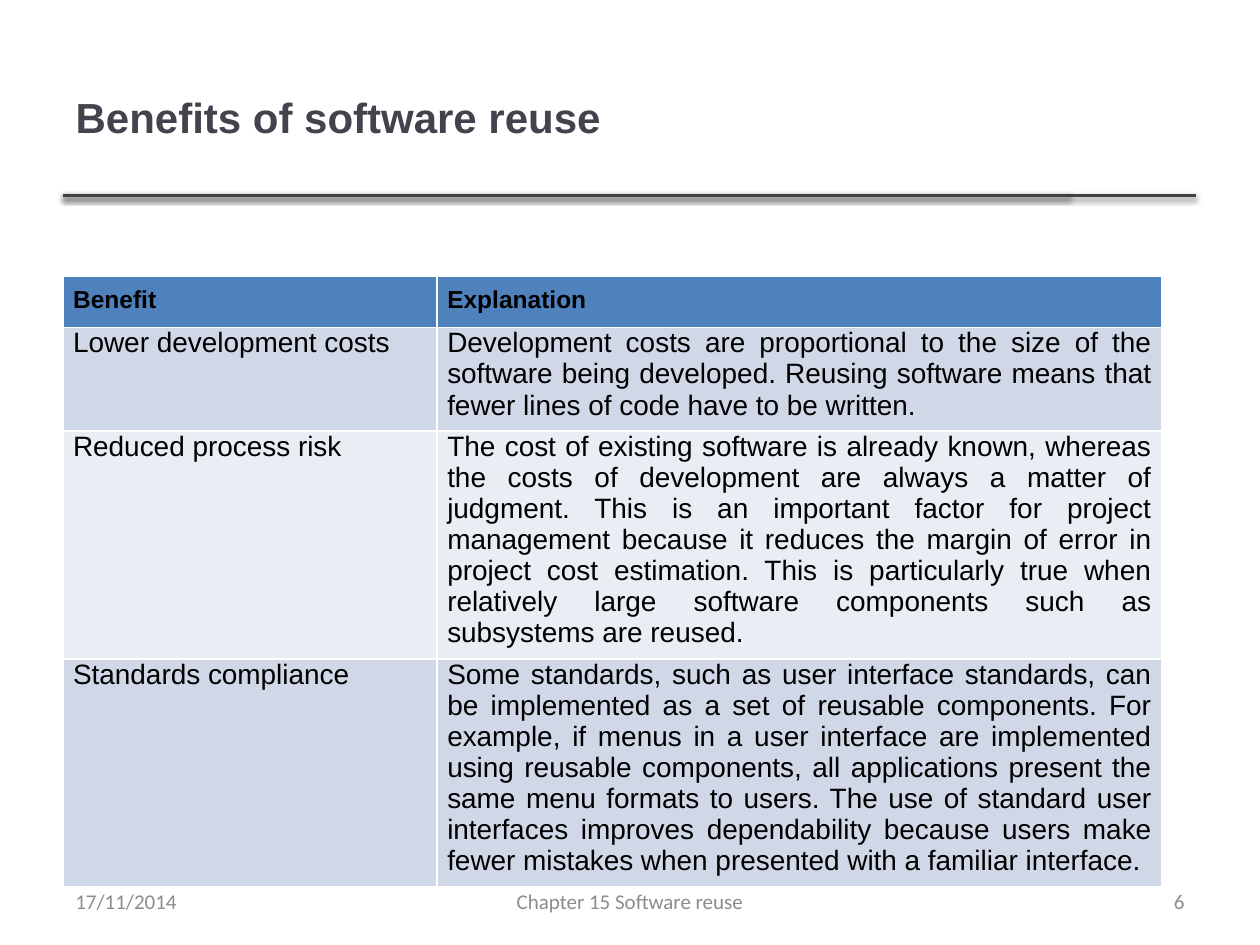
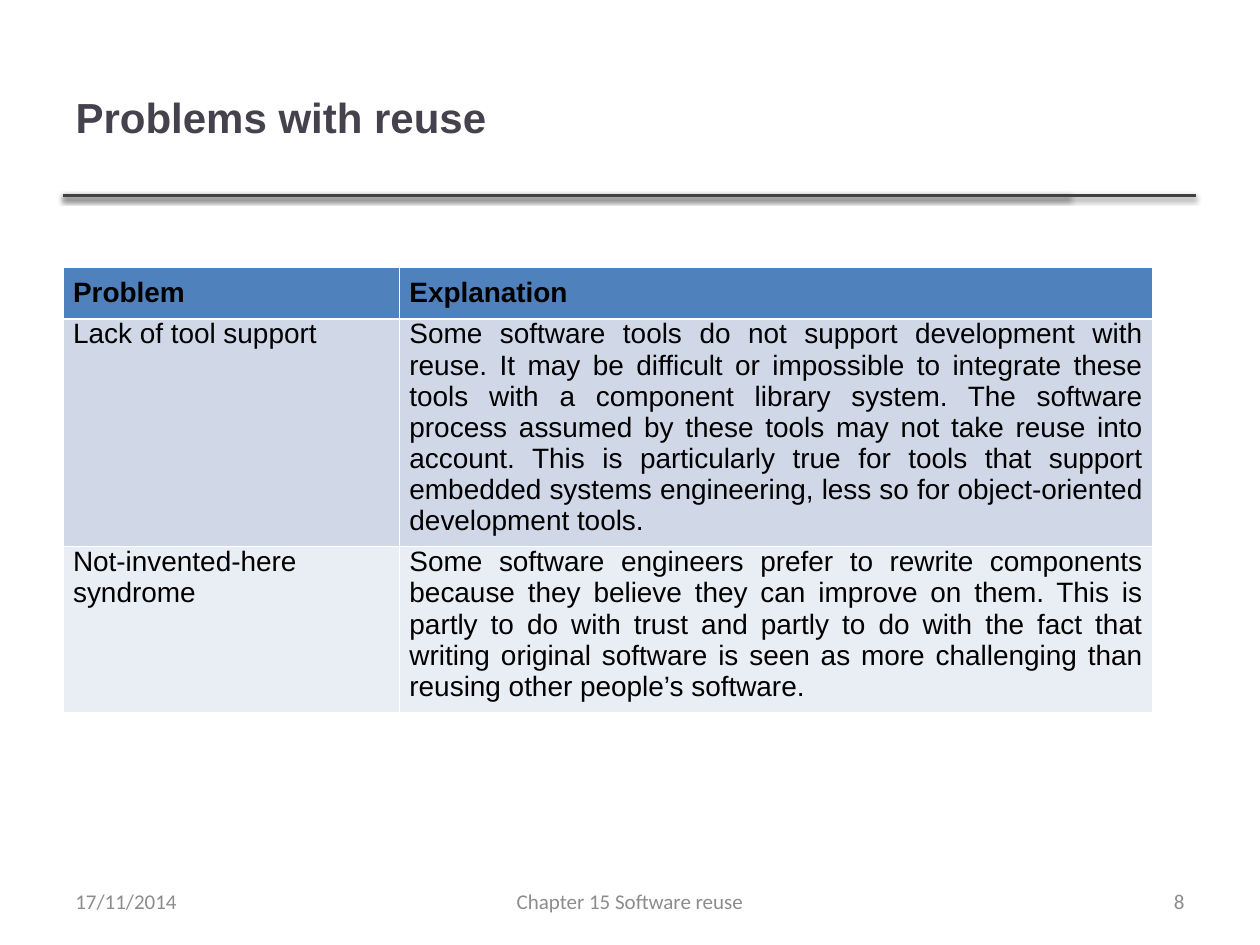
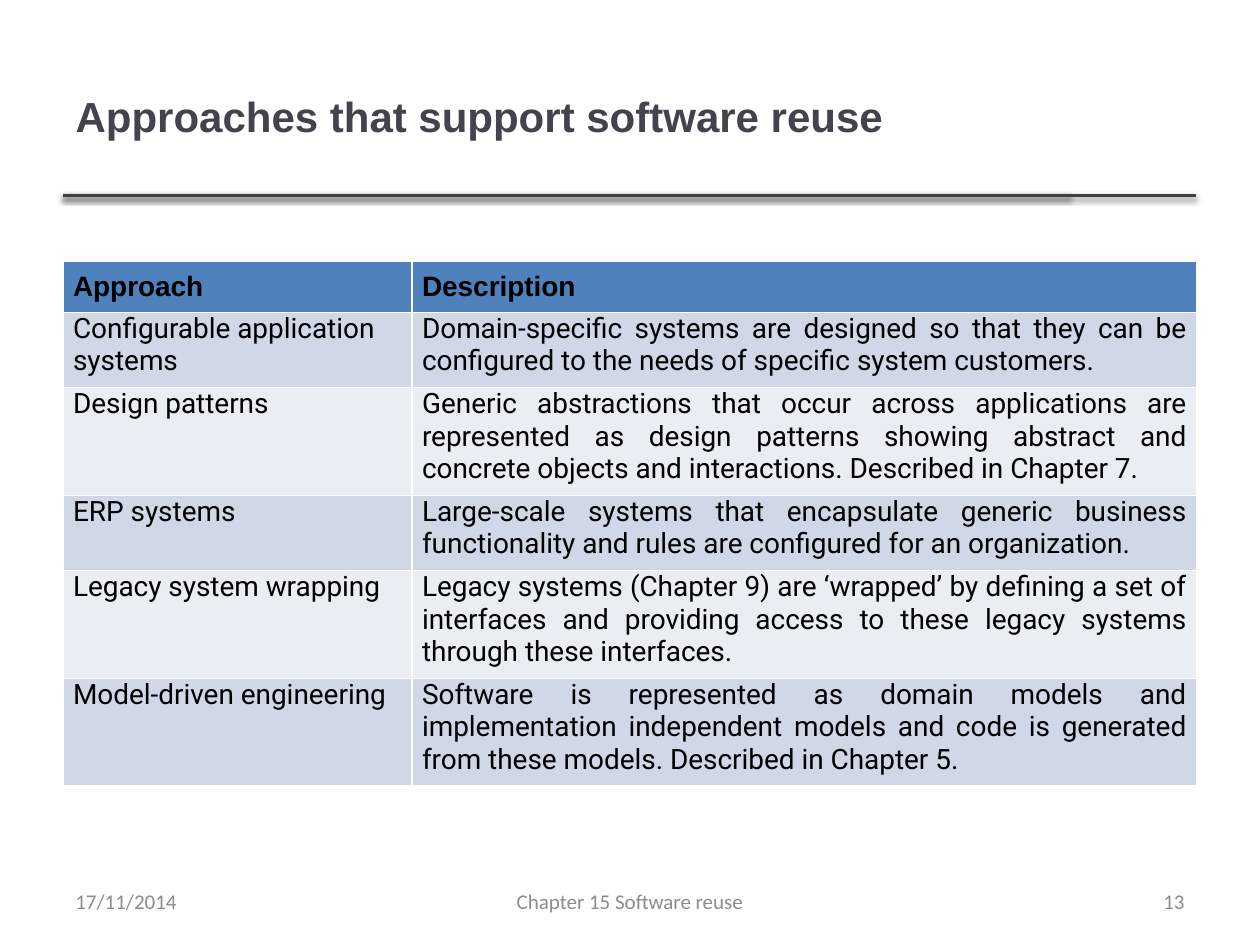
from collections import namedtuple

from lxml.etree import SubElement
from pptx import Presentation
from pptx.dml.color import RGBColor
from pptx.enum.shapes import MSO_CONNECTOR as Connector
from pptx.enum.text import MSO_ANCHOR as Anchor, PP_ALIGN as Align
from pptx.oxml.ns import qn
from pptx.util import Inches, Pt

COLORS = {
    "title": "46424D",
    "rule": "404040",
    "shadow": "000000",
    "footer": "8C8C8C",
    "text": "000000",
    "header": "4F81BD",
    "odd": "D0D8E8",
    "even": "E9EDF4",
}
WIDTH, HEIGHT = Inches(10), Inches(7.5)
COLUMN, ROW = WIDTH / 100, HEIGHT / 75
MARGIN, CONTENT = 5, 90
TABLE_ROW = 4.1
CELL_INSET = Inches(0.08)
DATE, CHAPTER = "17/11/2014", "Chapter 15 Software reuse"

Box = namedtuple("Box", "left top width height")
Topic = namedtuple("Topic", "title title_box number table_top widths header_size body_font first_align rows")

TITLE_BOX = Box(MARGIN, 3, 79.8, 12.5)
FOOTER_BOX = Box(MARGIN, 69.5, CONTENT, 4)
RULE_BOX = Box(MARGIN, 15.5, 89.9, 0)

TOPICS = [
    Topic("Benefits of software reuse", TITLE_BOX, 6, 21.9, (29.7, 57.5), 14, "Arial", Align.JUSTIFY, [
        ("Benefit", "Explanation"),
        ("Lower development costs",
         "Development costs are proportional to the size of the software being developed. "
         "Reusing software means that fewer lines of code have to be written."),
        ("Reduced process risk",
         "The cost of existing software is already known, whereas the costs of development are "
         "always a matter of judgment. This is an important factor for project management because "
         "it reduces the margin of error in project cost estimation. This is particularly true when "
         "relatively large software components such as subsystems are reused."),
        ("Standards compliance",
         "Some standards, such as user interface standards, can be implemented as a set of reusable "
         "components. For example, if menus in a user interface are implemented using reusable "
         "components, all applications present the same menu formats to users. The use of standard "
         "user interfaces improves dependability because users make fewer mistakes when presented "
         "with a familiar interface."),
    ]),
    Topic("Problems with reuse", TITLE_BOX, 8, 21.2, (26.7, 59.8), 16, "Arial", Align.LEFT, [
        ("Problem", "Explanation"),
        ("Lack of tool support",
         "Some software tools do not support development with reuse. It may be difficult or "
         "impossible to integrate these tools with a component library system. The software process "
         "assumed by these tools may not take reuse into account. This is particularly true for "
         "tools that support embedded systems engineering, less so for object-oriented development "
         "tools."),
        ("Not-invented-here syndrome",
         "Some software engineers prefer to rewrite components because they believe they can improve "
         "on them. This is partly to do with trust and partly to do with the fact that writing "
         "original software is seen as more challenging than reusing other people’s software."),
    ]),
    Topic("Approaches that support software reuse", Box(MARGIN, 2.9, CONTENT, 12.5), 13, 20.7,
          (27.7, 62.3), 16, "Roboto", Align.LEFT, [
        ("Approach", "Description"),
        ("Configurable application systems",
         "Domain-specific systems are designed so that they can be configured to the needs of "
         "specific system customers."),
        ("Design patterns",
         "Generic abstractions that occur across applications are represented as design patterns "
         "showing abstract and concrete objects and interactions. Described in Chapter 7."),
        ("ERP systems",
         "Large-scale systems that encapsulate generic business functionality and rules are "
         "configured for an organization."),
        ("Legacy system wrapping",
         "Legacy systems (Chapter 9) are ‘wrapped’ by defining a set of interfaces and providing "
         "access to these legacy systems through these interfaces."),
        ("Model-driven engineering",
         "Software is represented as domain models and implementation independent models and code "
         "is generated from these models. Described in Chapter 5."),
    ]),
]


def color(name):
    """Return the named colour."""
    return RGBColor.from_string(COLORS[name])


def to_emu(box):
    """Turn a box in grid units into left, top, width and height."""
    return (int(box.left * COLUMN), int(box.top * ROW),
            int(box.width * COLUMN), int(box.height * ROW))


def write(frame, text, font, size, shade, align=Align.LEFT, bold=False):
    """Write one formatted run into the first paragraph of a frame."""
    para = frame.paragraphs[0]
    para.alignment = align
    span = para.add_run()
    span.text = text
    span.font.name, span.font.size, span.font.bold = font, Pt(size), bold
    span.font.color.rgb = color(shade)


def add_title(page, box, text):
    """Place and fill the title placeholder."""
    title = page.shapes.title
    title.left, title.top, title.width, title.height = to_emu(box)
    title.text_frame.vertical_anchor = Anchor.MIDDLE
    write(title.text_frame, text, "Arial", 24, "title", bold=True)


def add_rules(page, box):
    """Draw the short and the full shadowed rule under the title."""
    left, top, width, _ = to_emu(box)
    for length in (int(79.9 * COLUMN), width):
        rule = page.shapes.add_connector(Connector.STRAIGHT, left, top, left + length, top)
        rule.line.color.rgb = color("rule")
        rule.line.width = Pt(2)
        effects = SubElement(rule.element.spPr, qn("a:effectLst"))
        shadow = SubElement(effects, qn("a:outerShdw"), blurRad=str(Pt(3.1)), dist=str(Pt(1.6)),
                            dir="5400000", rotWithShape="0")
        shade = SubElement(shadow, qn("a:srgbClr"), val=COLORS["shadow"])
        SubElement(shade, qn("a:alpha"), val="38000")


def add_footer(page, box, number):
    """Write date, chapter and page number along the footer."""
    side, middle = 23.3, 31.7
    parts = [
        (DATE, 0, side, Align.LEFT),
        (CHAPTER, (box.width - middle) / 2, middle, Align.CENTER),
        (str(number), box.width - side, side, Align.RIGHT),
    ]
    for text, offset, width, align in parts:
        place = box._replace(left=box.left + offset, width=width)
        frame = page.shapes.add_textbox(*to_emu(place)).text_frame
        frame.word_wrap = True
        frame.vertical_anchor = Anchor.MIDDLE
        write(frame, text, "Calibri", 12, "footer", align)


def add_topic_table(page, topic):
    """Build the two-column table with a header and striped rows."""
    box = Box(MARGIN, topic.table_top, sum(topic.widths), TABLE_ROW * len(topic.rows))
    table = page.shapes.add_table(len(topic.rows), len(topic.widths), *to_emu(box)).table
    for column, width in zip(table.columns, topic.widths):
        column.width = int(width * COLUMN)
    for row, texts in enumerate(topic.rows):
        header = row == 0
        fill = "header" if header else ("even", "odd")[row % 2]
        font, size = ("Arial", topic.header_size) if header else (topic.body_font, 16)
        first_align = Align.JUSTIFY if header else topic.first_align
        for column, (text, align) in enumerate(zip(texts, (first_align, Align.JUSTIFY))):
            cell = table.cell(row, column)
            cell.fill.solid()
            cell.fill.fore_color.rgb = color(fill)
            cell.margin_left = cell.margin_right = cell.margin_bottom = CELL_INSET
            cell.margin_top = CELL_INSET if header else 0
            write(cell.text_frame, text, font, size, "text", align, header)


def add_topic_page(deck, topic):
    """Add one slide with title, rules, table and footer."""
    page = deck.slides.add_slide(deck.slide_layouts.get_by_name("Title Only"))
    add_rules(page, RULE_BOX)
    add_title(page, topic.title_box, topic.title)
    add_topic_table(page, topic)
    add_footer(page, FOOTER_BOX, topic.number)


def main():
    """Build and save the deck."""
    deck = Presentation()
    deck.slide_width, deck.slide_height = WIDTH, HEIGHT
    for topic in TOPICS:
        add_topic_page(deck, topic)
    deck.save("out.pptx")


if __name__ == "__main__":
    main()
